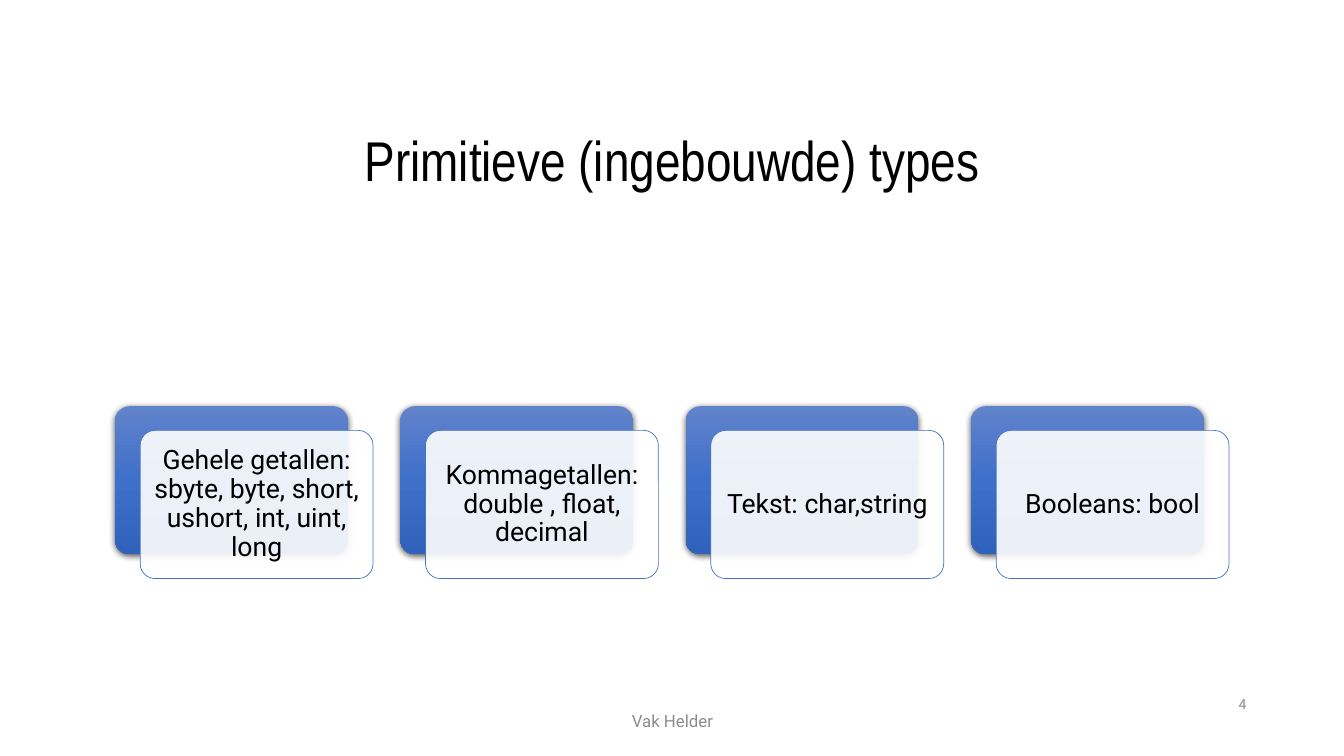
from lxml import etree
from pptx import Presentation
from pptx.dml.color import RGBColor
from pptx.enum.shapes import MSO_SHAPE
from pptx.enum.text import MSO_ANCHOR, MSO_AUTO_SIZE, PP_ALIGN
from pptx.oxml.ns import qn
from pptx.util import Inches, Pt

ROUNDED = MSO_SHAPE.ROUNDED_RECTANGLE
MIDDLE = MSO_ANCHOR.MIDDLE
CENTER, RIGHT = PP_ALIGN.CENTER, PP_ALIGN.RIGHT
NO_AUTOFIT = MSO_AUTO_SIZE.NONE

TITLE = "Primitieve (ingebouwde) types"
TYPE_GROUPS = [
    "Gehele getallen: sbyte, byte, short, ushort, int, uint, long",
    "Kommagetallen: double , float, decimal",
    "Tekst: char,string",
    "Booleans: bool",
]
SMALL_TEXTS = [
    ("4", (11.84, 6.81, 0.62, 0.34), 10, "898989", RIGHT),
    ("Vak Helder", (4.42, 6.95, 4.5, 0.4), 12, "8C8C8C", CENTER),
]
GRADIENT = [(0, "6183CB"), (50, "3E70CA"), (100, "3062BB")]

SLIDE_WIDTH, SLIDE_HEIGHT = 13.33, 7.5
CARD_WIDTH, CARD_HEIGHT = 2.31, 1.47
CARDS_LEFT, CARDS_TOP = 1.14, 4.03
COLUMN_STEP = 2.83
OFFSET_X, OFFSET_Y = 0.25, 0.24
CARD_INSET = 0.08


def color(value):
    return RGBColor.from_string(value)


def add_child(parent, tag, **attributes):
    child = etree.SubElement(parent, qn(tag))
    for name, value in attributes.items():
        child.set(name, str(value))
    return child


def write(frame, text, size, font, text_color, alignment, line_spacing=None):
    frame.word_wrap = True
    frame.auto_size = NO_AUTOFIT
    frame.vertical_anchor = MIDDLE
    paragraph = frame.paragraphs[0]
    paragraph.alignment = alignment
    paragraph.line_spacing = line_spacing
    run = paragraph.add_run()
    run.text = text
    run.font.size = Pt(size)
    run.font.name = font
    run.font.color.rgb = color(text_color)


def add_card(slide, left, top):
    box = [Inches(value) for value in (left, top, CARD_WIDTH, CARD_HEIGHT)]
    card = slide.shapes.add_shape(ROUNDED, *box)
    card.adjustments[0] = 0.1
    card.shadow.inherit = False
    return card


def add_back_card(slide, left, top):
    card = add_card(slide, left, top)
    card.line.fill.background()
    card.fill.gradient()
    card.fill.gradient_angle = 270
    properties = card._element.spPr
    stops = properties.find(".//" + qn("a:gsLst"))
    for stop in list(stops):
        stops.remove(stop)
    for position, value in GRADIENT:
        stop = add_child(stops, "a:gs", pos=position * 1000)
        add_child(stop, "a:srgbClr", val=value)
    shadow = add_child(properties.find(qn("a:effectLst")), "a:outerShdw",
                       blurRad=Pt(4.5), dist=Pt(1.5), dir=90 * 60000,
                       algn="ctr", rotWithShape=0)
    add_child(add_child(shadow, "a:srgbClr", val="000000"), "a:alpha", val=63000)


def add_front_card(slide, left, top, text):
    card = add_card(slide, left, top)
    card.fill.solid()
    card.fill.fore_color.rgb = color("FFFFFF")
    white = card._element.spPr.find(qn("a:solidFill")).find(qn("a:srgbClr"))
    add_child(white, "a:alpha", val=90000)
    card.line.color.rgb = color("4472C4")
    card.line.width = Pt(0.5)
    frame = card.text_frame
    frame.margin_left = frame.margin_right = Inches(CARD_INSET)
    frame.margin_top = frame.margin_bottom = Inches(CARD_INSET)
    write(frame, text, 19, "Roboto", "000000", CENTER, 0.9)


def main():
    presentation = Presentation()
    presentation.slide_width = Inches(SLIDE_WIDTH)
    presentation.slide_height = Inches(SLIDE_HEIGHT)
    slide = presentation.slides.add_slide(presentation.slide_layouts[5])

    title = slide.shapes.title
    title.left, title.top = Inches(1.29), Inches(0.9)
    title.width, title.height = Inches(10.75), Inches(1.45)
    write(title.text_frame, TITLE, 40, "Arial Narrow", "000000", CENTER, 0.9)

    for column, text in enumerate(TYPE_GROUPS):
        left = CARDS_LEFT + column * COLUMN_STEP
        add_back_card(slide, left, CARDS_TOP)
        add_front_card(slide, left + OFFSET_X, CARDS_TOP + OFFSET_Y, text)

    for text, box, size, text_color, alignment in SMALL_TEXTS:
        textbox = slide.shapes.add_textbox(*[Inches(value) for value in box])
        write(textbox.text_frame, text, size, "Roboto", text_color, alignment)

    presentation.save("out.pptx")


if __name__ == "__main__":
    main()
